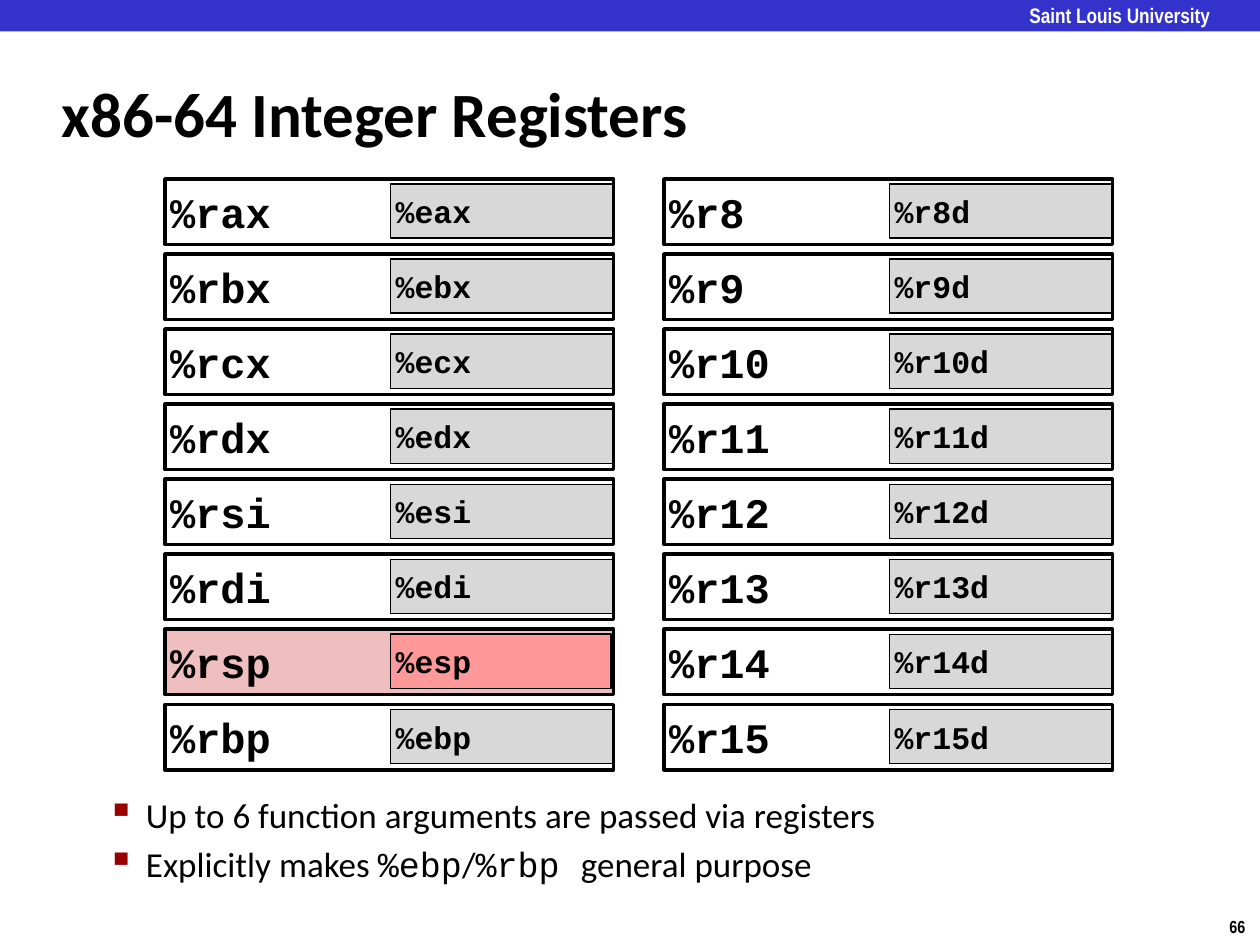
from lxml import etree
from pptx import Presentation
from pptx.dml.color import RGBColor
from pptx.enum import shapes, text
from pptx.oxml.ns import qn
from pptx.util import Inches, Pt

BLACK = RGBColor(0x00, 0x00, 0x00)
WHITE = RGBColor(0xFF, 0xFF, 0xFF)
BANNER_BLUE = RGBColor(0x33, 0x33, 0xCC)
GREY = RGBColor(0xD8, 0xD8, 0xD8)
PINK = RGBColor(0xEF, 0xBF, 0xBF)
RED = RGBColor(0xFF, 0x99, 0x99)

prs = Presentation()
prs.slide_width, prs.slide_height = Inches(10), Inches(7.5)
s = prs.slides.add_slide(prs.slide_layouts[6])


def add_text(sp, paragraphs, size, font, color=BLACK, bold=False, margin=None,
             anchor=text.MSO_ANCHOR.TOP, wrap=True, bullet=False):
    """Fill sp with paragraphs, each a list of strings or (string, font) runs."""
    tf = sp.text_frame
    tf.word_wrap = wrap
    tf.vertical_anchor = anchor
    if margin is not None:
        tf.margin_left = tf.margin_right = Inches(margin)
        tf.margin_top = tf.margin_bottom = Inches(margin)
    for i, runs in enumerate(paragraphs):
        p = tf.paragraphs[0] if i == 0 else tf.add_paragraph()
        p.alignment = text.PP_ALIGN.LEFT
        if bullet:
            pPr = p._p.get_or_add_pPr()
            pPr.set("marL", str(Inches(0.81)))
            pPr.set("indent", str(Inches(-0.31)))
            clr = etree.SubElement(pPr, qn("a:buClr"))
            etree.SubElement(clr, qn("a:srgbClr"), val="990000")
            etree.SubElement(pPr, qn("a:buSzPct"), val="110000")
            etree.SubElement(pPr, qn("a:buChar"), char="▪")
            if i:
                p.space_before = Pt(0.2 * size)
        for run in runs:
            words, face = (run, font) if isinstance(run, str) else run
            r = p.add_run()
            r.text = words
            r.font.name, r.font.size, r.font.bold = face, Pt(size), bold
            r.font.color.rgb = color


def add_box(x, y, w, h, fill=None, line=None):
    sp = s.shapes.add_shape(shapes.MSO_SHAPE.RECTANGLE, Inches(x), Inches(y), Inches(w), Inches(h))
    sp.shadow.inherit = False
    if fill is None:
        sp.fill.background()
    else:
        sp.fill.solid()
        sp.fill.fore_color.rgb = fill
    if line is None:
        sp.line.fill.background()
    else:
        sp.line.color.rgb = BLACK
        sp.line.width = Pt(line)
    return sp


# Banner, page number and title
add_box(0, 0, 10, 0.25, fill=BANNER_BLUE)
university = s.shapes.add_textbox(Inches(8.17), Inches(0.02), Inches(1.67), Inches(0.19))
add_text(university, [["Saint Louis University"]], 12, "Arial Narrow", WHITE, True, margin=0)

page_number = s.shapes.add_textbox(Inches(9.66), Inches(7.22), Inches(0.34), Inches(0.27))
add_text(page_number, [["66"]], 10, "Arial Narrow", bold=True, wrap=False)

title = s.shapes.add_textbox(Inches(0.39), Inches(0.48), Inches(8.3), Inches(0.83))
add_text(title, [["x86-64 Integer Registers"]], 36, "Calibri", bold=True,
         anchor=text.MSO_ANCHOR.MIDDLE)

# Registers: each 64-bit frame encloses its 32-bit lower half
legacy = [(f"%r{name}", f"%e{name}") for name in "ax bx cx dx si di sp bp".split()]
extended = [(f"%r{n}", f"%r{n}d") for n in range(8, 16)]
TOP, PITCH = 1.42, 4.17 / 7

for left, registers in ((1.31, legacy), (5.27, extended)):
    for row, (full, half) in enumerate(registers):
        y = TOP + row * PITCH
        is_stack = full == "%rsp"
        frame = (full, 24, (left, y, 3.56, 0.52, PINK if is_stack else None, 2))
        lower = (half, 18, (left + 1.79, y + 0.04, 1.77, 0.43, GREY, 0.75))
        if is_stack:
            lower = (half, 18, (left + 1.79, y + 0.04, 1.75, 0.43, RED, 1))
        # The filled stack frame goes behind its half; open frames go in front
        for name, size, box in (frame, lower) if is_stack else (lower, frame):
            add_text(add_box(*box), [[name]], size, "Courier New", bold=True,
                     margin=0.04, anchor=text.MSO_ANCHOR.MIDDLE)

# Remarks
remarks = s.shapes.add_textbox(Inches(0.25), Inches(6.25), Inches(8.02), Inches(0.92))
add_text(remarks, [
    ["Up to 6 function arguments are passed via registers"],
    ["Explicitly makes ", ("%ebp", "Courier New"), "/", ("%rbp ", "Courier New"),
     "general purpose"],
], 20, "Calibri", bullet=True)

prs.save("out.pptx")
